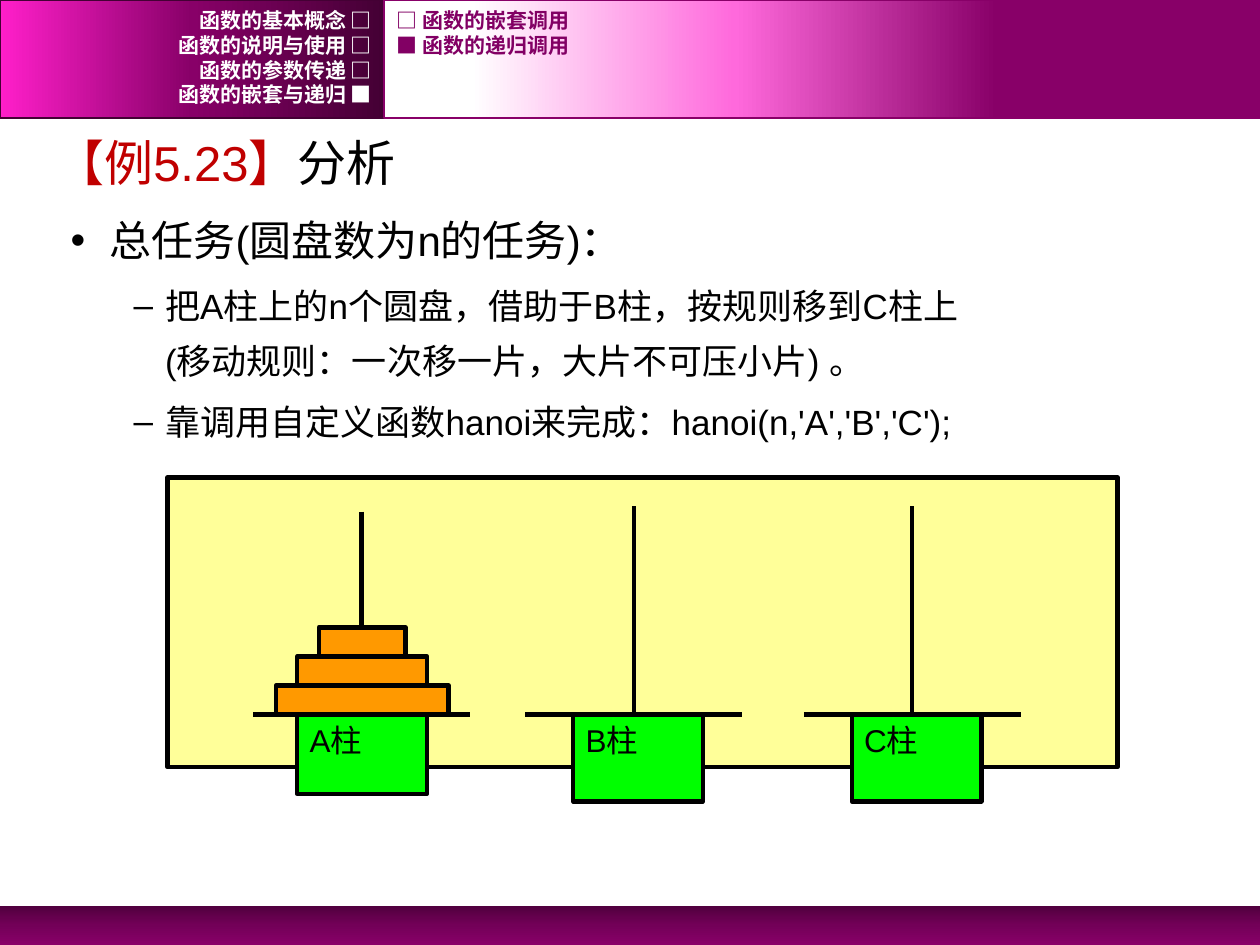
from lxml.etree import SubElement
from pptx import Presentation
from pptx.dml.color import RGBColor
from pptx.enum.shapes import MSO_CONNECTOR, MSO_SHAPE
from pptx.enum.text import MSO_ANCHOR, MSO_AUTO_SIZE, PP_ALIGN
from pptx.oxml.ns import qn
from pptx.util import Inches, Pt

BLACK = "000000"
HEADER_STEP = 0.197
BASE_TOP = 5.67
DISC_HEIGHT = 0.23


def color(value):
    return RGBColor.from_string(value)


def style_font(font, size, name, value, bold=False):
    font.size = Pt(size)
    font.name = name
    font.bold = bold
    font.color.rgb = color(value)


def add_rectangle(shapes, left, top, width, height, fill=None, line=None, weight=2.5):
    shape = shapes.add_shape(MSO_SHAPE.RECTANGLE, Inches(left), Inches(top),
                             Inches(width), Inches(height))
    shape.shadow.inherit = False
    if fill:
        shape.fill.solid()
        shape.fill.fore_color.rgb = color(fill)
    if line:
        shape.line.color.rgb = color(line)
        shape.line.width = Pt(weight)
    else:
        shape.line.fill.background()
    return shape


def set_gradient(shape, stops, angle):
    shape.fill.gradient()
    shape.fill.gradient_angle = angle
    stop_list = shape.element.spPr.find(qn("a:gradFill")).find(qn("a:gsLst"))
    for stop in list(stop_list):
        stop_list.remove(stop)
    for position, value in stops:
        stop = SubElement(stop_list, qn("a:gs"), pos=str(position * 1000))
        SubElement(stop, qn("a:srgbClr"), val=value)


def add_line(shapes, start, end):
    connector = shapes.add_connector(MSO_CONNECTOR.STRAIGHT,
                                     *(Inches(value) for value in start + end))
    connector.line.color.rgb = color(BLACK)
    connector.line.width = Pt(2.5)
    SubElement(connector.element.spPr, qn("a:effectLst"))


def add_header_items(slide, items, left, width, value, alignment):
    for index, text in enumerate(items):
        box = slide.shapes.add_textbox(Inches(left), Inches(0.06 + index * HEADER_STEP),
                                       Inches(width), Inches(0.2))
        frame = box.text_frame
        frame.word_wrap = True
        frame.margin_top = frame.margin_bottom = 0
        frame.vertical_anchor = MSO_ANCHOR.MIDDLE
        frame.text = text
        paragraph = frame.paragraphs[0]
        paragraph.alignment = alignment
        style_font(paragraph.runs[0].font, 12, "Courier New", value, True)


def add_bands(slide):
    footer = add_rectangle(slide.shapes, 0, 7.19, 10, 0.31)
    set_gradient(footer, [(0, "51003E"), (50, "730058"), (100, "880068")], 270)
    left_band = add_rectangle(slide.shapes, 0, 0, 3.05, 0.94, line="440034", weight=1)
    set_gradient(left_band, [(0, "440034"), (50, "880068"), (100, "FF1FCA")], 180)
    right_band = add_rectangle(slide.shapes, 3.05, 0, 6.95, 0.94, line="880068", weight=1)
    set_gradient(right_band, [(30, "880068"), (60, "FF69DC"), (90, "FFFFFF")], 180)


def format_body_paragraph(paragraph, level, size, margin, indent, bullet):
    properties = paragraph._p.get_or_add_pPr()
    properties.set("marL", str(Inches(margin)))
    properties.set("indent", str(Inches(indent)))
    if bullet:
        SubElement(properties, qn("a:buFont"), typeface="Arial")
        SubElement(properties, qn("a:buChar"), char=bullet)
    else:
        SubElement(properties, qn("a:buNone"))
    paragraph.level = level
    paragraph.line_spacing = 1.3
    paragraph.space_before = Pt(0.2 * size if level else 0)
    for run in paragraph.runs:
        style_font(run.font, size, "Arial", BLACK)


def fill_body(body):
    body.left, body.top = Inches(-0.04), Inches(0.86)
    body.width, body.height = Inches(9.45), Inches(5.8)
    frame = body.text_frame
    frame.auto_size = MSO_AUTO_SIZE.NONE
    frame.vertical_anchor = MSO_ANCHOR.TOP
    heading = frame.paragraphs[0]
    heading.text = "【例5.23】"
    heading.add_run().text = "分析"
    format_body_paragraph(heading, 0, 28, 0.38, 0, None)
    heading.runs[0].font.color.rgb = color("C00000")
    points = [
        ("总任务(圆盘数为n的任务)：", 1, 24, 0.81, -0.31, "•"),
        ("把A柱上的n个圆盘，借助于B柱，按规则移到C柱上\v"
         "(移动规则：一次移一片，大片不可压小片) 。", 2, 20, 1.25, -0.25, "–"),
        ("靠调用自定义函数hanoi来完成：hanoi(n,'A','B','C');", 2, 20, 1.25, -0.25, "–"),
    ]
    for text, *layout in points:
        paragraph = frame.add_paragraph()
        paragraph.text = text
        format_body_paragraph(paragraph, *layout)


def add_peg(shapes, label, pole, pole_top, pole_bottom, box_left, box_height):
    box = add_rectangle(shapes, box_left, BASE_TOP, 1.03, box_height, "00FF00", BLACK)
    frame = box.text_frame
    frame.vertical_anchor = MSO_ANCHOR.TOP
    frame.text = label
    paragraph = frame.paragraphs[0]
    paragraph.alignment = PP_ALIGN.LEFT
    style_font(paragraph.runs[0].font, 18, "Arial", BLACK)
    add_line(shapes, (pole, pole_top), (pole, pole_bottom))
    add_line(shapes, (pole - 0.86, BASE_TOP), (pole + 0.86, BASE_TOP))


def add_hanoi(slide):
    shapes = slide.shapes.add_group_shape().shapes
    add_rectangle(shapes, 1.33, 3.79, 7.54, 2.3, "FFFF99", BLACK)
    add_peg(shapes, "A柱", 2.87, 4.06, 5.56, 2.36, 0.63)
    for index in range(3):
        add_rectangle(shapes, 2.19 + 0.17 * index, BASE_TOP - DISC_HEIGHT * (index + 1),
                      1.37 - 0.34 * index, DISC_HEIGHT, "FF9900", BLACK)
    for label, pole in (("B柱", 5.03), ("C柱", 7.24)):
        add_peg(shapes, label, pole, 4.02, 5.69, pole - 0.48, 0.69)


def main():
    presentation = Presentation()
    presentation.slide_width = Inches(10)
    presentation.slide_height = Inches(7.5)
    slide = presentation.slides.add_slide(presentation.slide_layouts[1])
    title = slide.shapes.title.element
    title.getparent().remove(title)
    add_bands(slide)
    fill_body(slide.placeholders[1])
    add_hanoi(slide)
    chapters = ["函数的基本概念 □", "函数的说明与使用 □", "函数的参数传递 □", "函数的嵌套与递归 ■"]
    add_header_items(slide, chapters, 0, 3.05, "FFFFFF", PP_ALIGN.RIGHT)
    sections = ["□ 函数的嵌套调用", "■ 函数的递归调用"]
    add_header_items(slide, sections, 3.05, 6.02, "820064", PP_ALIGN.LEFT)
    presentation.save("out.pptx")


if __name__ == "__main__":
    main()
